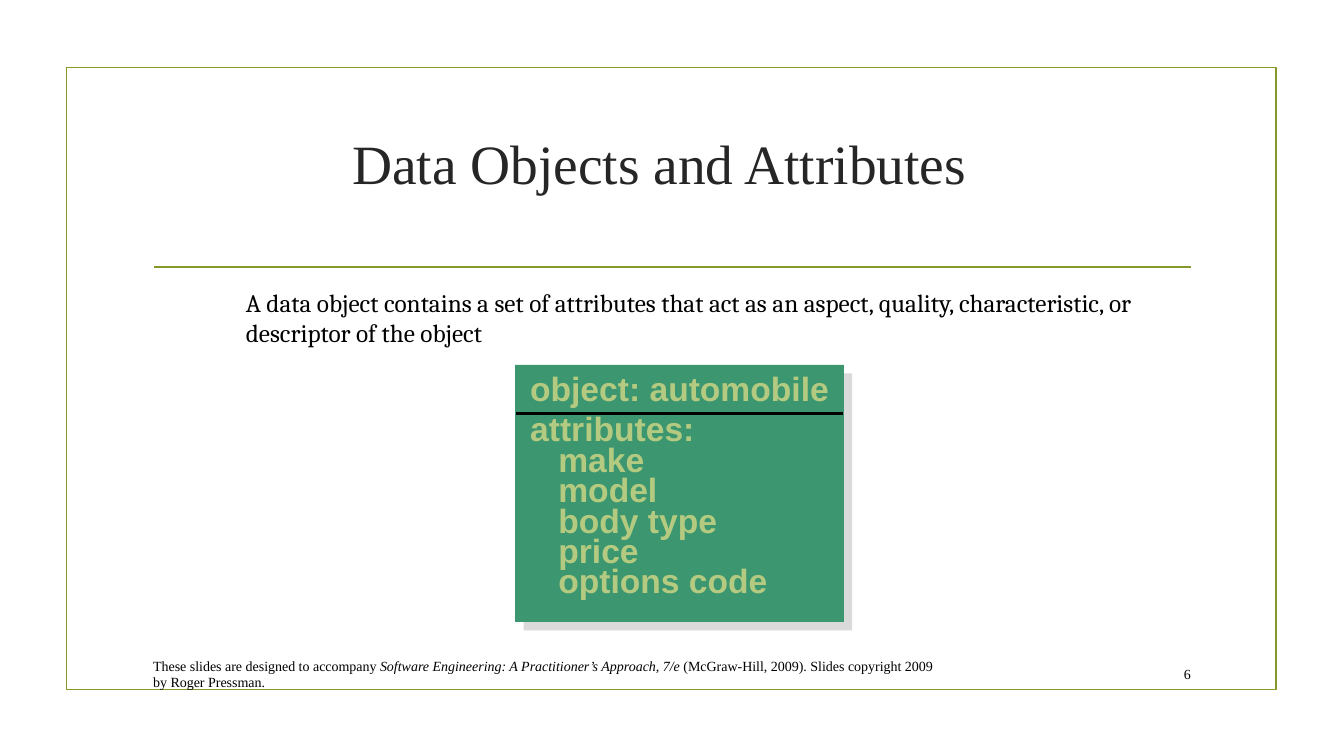
from lxml import etree
from pptx import Presentation
from pptx.dml.color import RGBColor
from pptx.enum.shapes import MSO_CONNECTOR, MSO_SHAPE
from pptx.enum.text import MSO_ANCHOR, PP_ALIGN
from pptx.oxml import parse_xml
from pptx.oxml.ns import nsdecls, qn
from pptx.util import Inches, Pt

OLIVE = RGBColor(0x83, 0x99, 0x2A)
GREEN = RGBColor(0x3C, 0x97, 0x70)
LIME = RGBColor(0xB4, 0xCA, 0x80)
DARK = RGBColor(0x26, 0x26, 0x26)
BLACK = RGBColor(0, 0, 0)
RECT = MSO_SHAPE.RECTANGLE
STRAIGHT = MSO_CONNECTOR.STRAIGHT
TOP, MIDDLE = MSO_ANCHOR.TOP, MSO_ANCHOR.MIDDLE
LEFT, CENTER, RIGHT = PP_ALIGN.LEFT, PP_ALIGN.CENTER, PP_ALIGN.RIGHT
SERIF = "Times New Roman"
TITLE_ONLY = 5

TRAITS = ["make", "model", "body type", "price", "options code"]
SHADOW = (
    f'<a:effectLst {nsdecls("a")}><a:outerShdw dist="107950" dir="2700000" '
    'algn="ctr" rotWithShape="0"><a:srgbClr val="DADADA"/></a:outerShdw></a:effectLst>'
)


def add_run(para, text, size, font, color, bold=False, italic=False):
    run = para.add_run()
    run.text = text
    run.font.size = Pt(size)
    run.font.name = font
    run.font.color.rgb = color
    run.font.bold = bold
    run.font.italic = italic


def set_frame(frame, anchor=TOP, wrap=True, inset=True):
    frame.word_wrap = wrap
    frame.vertical_anchor = anchor
    frame.margin_left = frame.margin_right = Inches(0.1 if inset else 0.1)
    frame.margin_top = frame.margin_bottom = Inches(0.05)


def add_box(slide, left, top, width, height, anchor=TOP, wrap=True):
    box = slide.shapes.add_textbox(
        Inches(left), Inches(top), Inches(width), Inches(height))
    set_frame(box.text_frame, anchor, wrap)
    return box.text_frame


def add_rect(slide, left, top, width, height):
    rect = slide.shapes.add_shape(
        RECT, Inches(left), Inches(top), Inches(width), Inches(height))
    rect.shadow.inherit = False
    return rect


def add_rule(slide, left, right, y, color, weight):
    rule = slide.shapes.add_connector(
        STRAIGHT, Inches(left), Inches(y), Inches(right), Inches(y))
    rule.line.color.rgb = color
    rule.line.width = Pt(weight)
    etree.SubElement(rule._element.spPr, qn("a:effectLst"))


def add_title(slide, text):
    title = slide.shapes.title
    title.left, title.top = Inches(3), Inches(1.25)
    title.width, title.height = Inches(7.08), Inches(0.72)
    set_frame(title.text_frame, MIDDLE)
    para = title.text_frame.paragraphs[0]
    para.alignment = CENTER
    add_run(para, text, 39.6, SERIF, DARK)


def add_card(slide):
    card = add_rect(slide, 5.11, 3.62, 3.26, 2.55)
    card.fill.solid()
    card.fill.fore_color.rgb = GREEN
    card.line.fill.background()
    props = card._element.spPr
    props.remove(props.find(qn("a:effectLst")))
    props.append(parse_xml(SHADOW))

    frame = add_box(slide, 5.16, 3.6, 3.19, 2.42, wrap=False)
    for i, text in enumerate(["object: automobile", "attributes:"] + TRAITS):
        para = frame.paragraphs[0] if i == 0 else frame.add_paragraph()
        para.alignment = LEFT
        if text in TRAITS:
            para.line_spacing = 0.75
            para._p.get_or_add_pPr().set("marL", str(Inches(0.28)))
        add_run(para, text, 24, "Arial", LIME, bold=True)
    add_rule(slide, 5.12, 8.36, 4.1, BLACK, 2)


def add_footer(slide):
    note = add_box(slide, 1.42, 6.53, 7.99, 0.31, MIDDLE).paragraphs[0]
    parts = [
        ("These slides are designed to accompany ", False),
        ("Software Engineering: A Practitioner’s Approach, 7/e ", True),
        ("(McGraw-Hill, 2009). Slides copyright 2009 by Roger Pressman.", False),
    ]
    for text, italic in parts:
        add_run(note, text, 10, SERIF, BLACK, italic=italic)
    page = add_box(slide, 11.32, 6.53, 0.59, 0.31, MIDDLE).paragraphs[0]
    page.alignment = RIGHT
    add_run(page, "6", 10, SERIF, BLACK)


def main():
    deck = Presentation()
    deck.slide_width, deck.slide_height = Inches(13.33), Inches(7.5)
    slide = deck.slides.add_slide(deck.slide_layouts[TITLE_ONLY])

    # Frame and title
    border = add_rect(slide, 0.66, 0.67, 12, 6.17)
    border.fill.background()
    border.line.color.rgb = OLIVE
    border.line.width = Pt(1.25)
    add_rule(slide, 1.53, 11.81, 2.65, OLIVE, 1.25)
    add_title(slide, "Data Objects and Attributes")

    # Definition
    lead = add_box(slide, 2.34, 2.8, 9.58, 0.7).paragraphs[0]
    add_run(lead, "A data object contains a set of attributes that act as an aspect, "
            "quality, characteristic, or descriptor of the object", 18, "Cambria", BLACK)

    # Object card and footer
    add_card(slide)
    add_footer(slide)
    deck.save("out.pptx")


if __name__ == "__main__":
    main()
